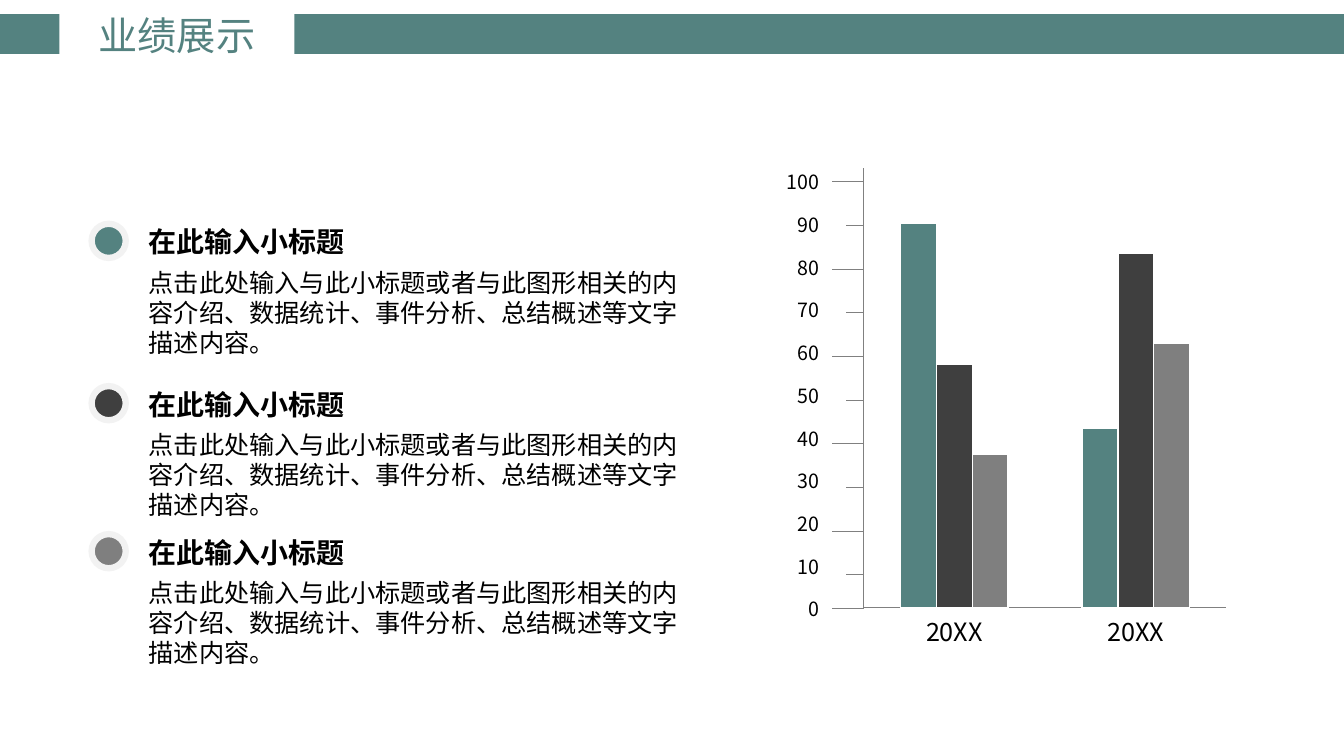
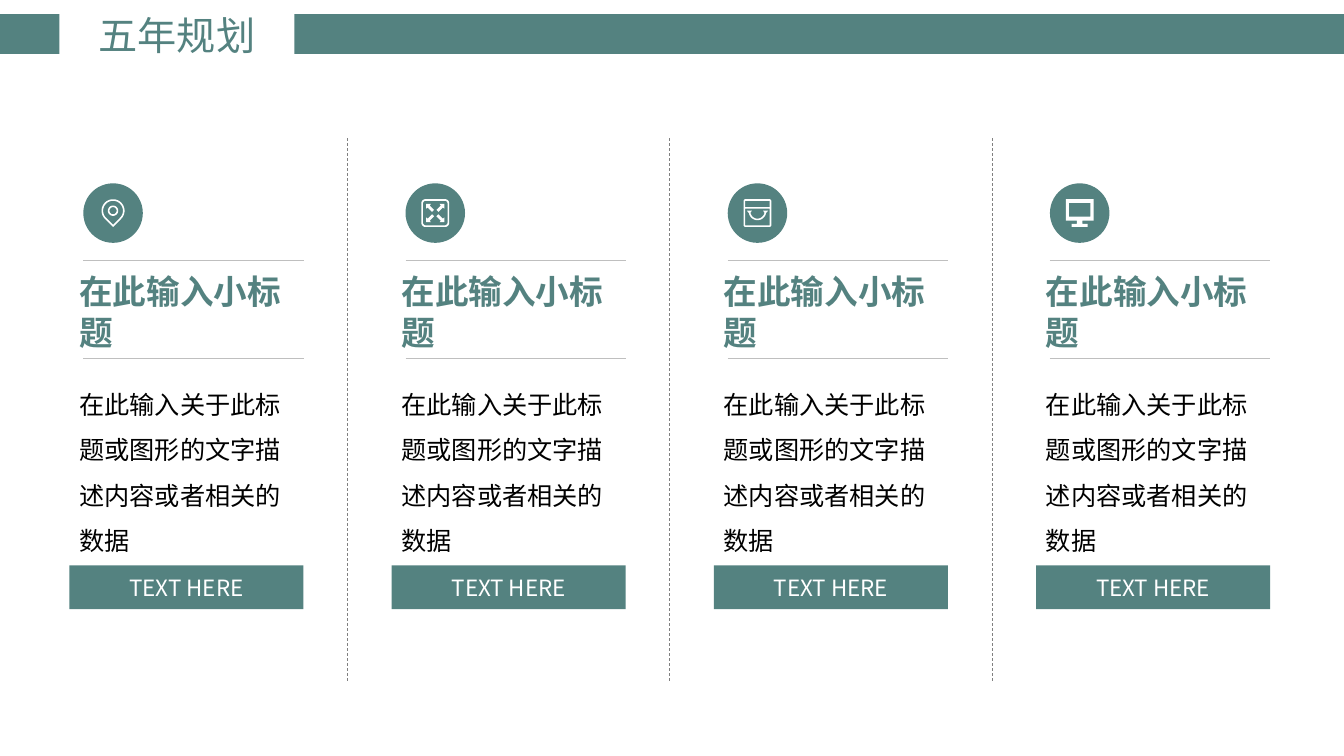
import math
from dataclasses import dataclass
from typing import NamedTuple

import lxml.etree
import pptx
import pptx.chart.data
import pptx.dml.color
import pptx.enum.chart
import pptx.enum.dml
import pptx.enum.shapes
import pptx.enum.text
import pptx.oxml
import pptx.oxml.ns
import pptx.util

Cm = pptx.util.Cm
Pt = pptx.util.Pt
RGBColor = pptx.dml.color.RGBColor
PresetShape = pptx.enum.shapes.MSO_SHAPE
Align = pptx.enum.text.PP_ALIGN
Anchor = pptx.enum.text.MSO_ANCHOR
qn = pptx.oxml.ns.qn

TEAL = RGBColor(0x54, 0x82, 0x80)
CHARCOAL = RGBColor(0x3F, 0x3F, 0x3F)
GRAY = RGBColor(0x7F, 0x7F, 0x7F)
AXIS_GRAY = RGBColor(0x80, 0x80, 0x80)
RULE_GRAY = RGBColor(0xBF, 0xBF, 0xBF)
HALO_GRAY = RGBColor(0xF2, 0xF2, 0xF2)
WHITE = RGBColor(0xFF, 0xFF, 0xFF)
BLACK = RGBColor(0, 0, 0)
FONT = "Noto Sans CJK SC"

SUBTITLE = "在此输入小标题"
POINT_TEXT = "点击此处输入与此小标题或者与此图形相关的内容介绍、数据统计、事件分析、总结概述等文字描述内容。"
PLAN_TEXT = "在此输入关于此标题或图形的文字描述内容或者相关的数据"

Points = list[tuple[float, float]]


class Box(NamedTuple):
    """A frame in centimetres."""
    left: float
    top: float
    width: float
    height: float

    def lengths(self) -> list[pptx.util.Length]:
        return [Cm(value) for value in self]


@dataclass
class Point:
    """A bullet on the results slide and the chart series in its colour."""
    top: float
    color: RGBColor
    values: tuple[int, int]


SLIDE_WIDTH, SLIDE_HEIGHT = 33.87, 19.05
BANDS = [Box(0, 0.36, 1.5, 1), Box(7.42, 0.36, SLIDE_WIDTH - 7.42, 1)]
TITLE = Box(2.21, 0.15, 4.5, 1.45)

POINTS = [
    Point(5.64, TEAL, (90, 42)),
    Point(9.73, CHARCOAL, (57, 83)),
    Point(13.46, GRAY, (36, 62)),
]
CHART = Box(19.3, 4, 12, 13)
PLOT = Box(21.77, 4.24, 9.14, 11.08)
TICK_COUNT, TICK_STEP, FIRST_TICK_TOP = 10, 1.1, 14.48
SHORT_TICK, LONG_TICK = 0.46, 0.8

COLUMN_LEFT, COLUMN_WIDTH, COLUMN_PITCH = 1.75, 5.9, 8.12
BADGE_SIZE = 1.5


def add_text(frame, text: str, *, size: float, color: RGBColor = BLACK,
             bold: bool = False, align=Align.LEFT, before: float = 0,
             spacing: float = 1.0, new_paragraph: bool = False) -> None:
    paragraph = frame.add_paragraph() if new_paragraph else frame.paragraphs[0]
    paragraph.alignment = align
    paragraph.space_before = Pt(before)
    paragraph.line_spacing = spacing
    run = paragraph.add_run()
    run.text = text
    run.font.name, run.font.size, run.font.bold = FONT, Pt(size), bold
    run.font.color.rgb = color
    east_asian = lxml.etree.SubElement(run.font._element, qn("a:ea"))
    east_asian.set("typeface", FONT)


def add_text_frame(slide, box: Box, *, wrap: bool = True, anchor=Anchor.TOP):
    frame = slide.shapes.add_textbox(*box.lengths()).text_frame
    frame.word_wrap = wrap
    frame.auto_size = pptx.enum.text.MSO_AUTO_SIZE.SHAPE_TO_FIT_TEXT
    frame.vertical_anchor = anchor
    return frame


def paint(shape, fill: RGBColor) -> None:
    shape.shadow.inherit = False
    shape.fill.solid()
    shape.fill.fore_color.rgb = fill
    shape.line.fill.background()


def add_filled(slide, preset, box: Box, fill: RGBColor):
    shape = slide.shapes.add_shape(preset, *box.lengths())
    paint(shape, fill)
    return shape


def add_line(slide, start: tuple[float, float], end: tuple[float, float],
             color: RGBColor, dashed: bool = False) -> None:
    line = slide.shapes.add_connector(
        pptx.enum.shapes.MSO_CONNECTOR.STRAIGHT,
        *(Cm(value) for value in (*start, *end)))
    line.line.color.rgb = color
    line.line.width = Pt(0.5)
    if dashed:
        line.line.dash_style = pptx.enum.dml.MSO_LINE.DASH
    lxml.etree.SubElement(line._element.spPr, qn("a:effectLst"))


def add_titled_slide(deck, title: str):
    slide = deck.slides.add_slide(deck.slide_layouts[6])
    for band in BANDS:
        add_filled(slide, PresetShape.RECTANGLE, band, TEAL)
    frame = add_text_frame(slide, TITLE, wrap=False, anchor=Anchor.MIDDLE)
    add_text(frame, title, size=28, color=TEAL, align=Align.CENTER)
    return slide


def arc(x: float, y: float, radius: float, start: int, end: int) -> Points:
    """Points along an arc; degrees run clockwise from the right."""
    steps = max(2, abs(end - start) // 10)
    angles = [math.radians(start + (end - start) * i / steps)
              for i in range(steps + 1)]
    return [(x + radius * math.cos(a), y + radius * math.sin(a)) for a in angles]


def rectangle(half_width: float, top: float, bottom: float) -> Points:
    return [(-half_width, top), (half_width, top),
            (half_width, bottom), (-half_width, bottom)]


def rounded_square(half: float, radius: float) -> Points:
    inset = half - radius
    corners = [(inset, inset), (-inset, inset), (-inset, -inset), (inset, -inset)]
    return [point for i, (x, y) in enumerate(corners)
            for point in arc(x, y, radius, 90 * i, 90 * i + 90)]


def pin_icon() -> list[Points]:
    y = -0.06
    drops = [arc(0, y, r, 135, 405) + [(0, y + r * math.sqrt(2))]
             for r in (0.29, 0.25)]
    return drops + [arc(0, y, r, 0, 360) for r in (0.13, 0.09)]


def expand_icon() -> list[Points]:
    arrow = [(0.08, 0.03), (0.19, 0.14), (0.23, 0.11), (0.23, 0.23),
             (0.11, 0.23), (0.14, 0.19), (0.03, 0.08)]
    arrows = [[(x * across, y * down) for x, y in arrow]
              for across in (-1, 1) for down in (-1, 1)]
    return [rounded_square(0.35, 0.1), rounded_square(0.31, 0.07), *arrows]


def bag_icon() -> list[Points]:
    handle = [(-0.27, -0.06), (-0.14, -0.06), *arc(0, -0.04, 0.18, 170, 10),
              (0.14, -0.06), (0.27, -0.06), *arc(0, -0.04, 0.22, 10, 170)]
    return [rounded_square(0.35, 0.05), rectangle(0.31, -0.31, -0.15),
            rectangle(0.31, -0.11, 0.31), handle]


def monitor_icon() -> list[Points]:
    right = [(0.35, -0.35), (0.35, 0.19), (0.07, 0.19),
             (0.07, 0.27), (0.2, 0.27), (0.2, 0.35)]
    left = [(-x, y) for x, y in reversed(right)]
    return [right + left, rectangle(0.27, -0.26, 0.09)]


def add_icon(slide, x: float, y: float, contours: list[Points]) -> None:
    """Draw contours around a centre; inner contours become holes."""
    placed = [[(Cm(x + dx), Cm(y + dy)) for dx, dy in contour]
              for contour in contours]
    builder = slide.shapes.build_freeform(*placed[0][0])
    for i, contour in enumerate(placed):
        if i:
            builder.move_to(*contour[0])
        builder.add_line_segments(contour[1:], close=True)
    paint(builder.convert_to_shape(), WHITE)


def fix_plot_area(chart) -> None:
    """Pin the inner plot area, which no public method can place."""
    fractions = {
        "x": (PLOT.left - CHART.left) / CHART.width,
        "y": (PLOT.top - CHART.top) / CHART.height,
        "w": PLOT.width / CHART.width,
        "h": PLOT.height / CHART.height,
    }
    settings = {"layoutTarget": "inner", "xMode": "edge", "yMode": "edge",
                **{key: f"{value:.4f}" for key, value in fractions.items()}}
    plot_area = chart._chartSpace.chart.plotArea
    for old in plot_area.findall(qn("c:layout")):
        plot_area.remove(old)
    layout = pptx.oxml.parse_xml(
        f'<c:layout {pptx.oxml.ns.nsdecls("c")}><c:manualLayout/></c:layout>')
    for tag, value in settings.items():
        lxml.etree.SubElement(layout[0], qn(f"c:{tag}")).set("val", value)
    plot_area.insert(0, layout)


def add_results_chart(slide) -> None:
    data = pptx.chart.data.CategoryChartData()
    data.categories = ["20XX", "20XX"]
    for point in POINTS:
        data.add_series(SUBTITLE, point.values)
    chart = slide.shapes.add_chart(
        pptx.enum.chart.XL_CHART_TYPE.COLUMN_CLUSTERED, *CHART.lengths(), data).chart
    chart.has_legend = chart.has_title = False
    chart.font.name, chart.font.size = FONT, Pt(14)
    chart.font.color.rgb = BLACK
    fix_plot_area(chart)

    plot = chart.plots[0]
    plot.vary_by_categories = False
    plot.gap_width, plot.overlap = 207, 0
    for series, point in zip(plot.series, POINTS):
        series.format.fill.solid()
        series.format.fill.fore_color.rgb = point.color
        series.format.line.color.rgb = WHITE
        series.format.line.width = Pt(1)

    for axis in (chart.category_axis, chart.value_axis):
        axis.has_major_gridlines = False
        axis.major_tick_mark = pptx.enum.chart.XL_TICK_MARK.NONE
        axis.format.line.color.rgb = AXIS_GRAY
        axis.format.line.width = Pt(0.5)
    chart.category_axis.tick_labels.font.size = Pt(18)
    scale = chart.value_axis
    scale.minimum_scale, scale.maximum_scale, scale.major_unit = 0, 103, 10
    # Each _W pads the label by the width of a W, which leaves room for the ticks.
    scale.tick_labels.number_format = "0_W_W_W"
    scale.tick_labels.number_format_is_linked = False


def add_scale_ticks(slide) -> None:
    ticks = [(PLOT.top + PLOT.height, LONG_TICK)]
    ticks += [(FIRST_TICK_TOP - i * TICK_STEP, LONG_TICK if i % 2 else SHORT_TICK)
              for i in range(TICK_COUNT)]
    for y, length in ticks:
        add_line(slide, (PLOT.left, y), (PLOT.left - length, y), AXIS_GRAY)


def add_results_slide(deck) -> None:
    slide = add_titled_slide(deck, "业绩展示")
    add_results_chart(slide)
    add_scale_ticks(slide)
    for point in POINTS:
        dot = add_filled(slide, PresetShape.OVAL,
                         Box(2.31, point.top, 0.86, 0.86), point.color)
        dot.line.color.rgb = HALO_GRAY
        dot.line.width = Pt(4.5)
        frame = add_text_frame(slide, Box(3.5, point.top - 0.1, 14.27, 3.63))
        add_text(frame, SUBTITLE, size=20, bold=True, before=6)
        add_text(frame, POINT_TEXT, size=18, before=6, new_paragraph=True)


def add_plan_column(slide, left: float, icon: list[Points]) -> None:
    right, inner_left = left + COLUMN_WIDTH, left + 0.35
    badge = Box(inner_left, 4.62, BADGE_SIZE, BADGE_SIZE)
    add_filled(slide, PresetShape.OVAL, badge, TEAL)
    add_icon(slide, badge.left + BADGE_SIZE / 2, badge.top + BADGE_SIZE / 2, icon)
    for y in (6.55, 9.04):
        add_line(slide, (inner_left, y), (right, y), RULE_GRAY)
    heading = add_text_frame(slide, Box(left, 6.71, 6.3, 2.31))
    add_text(heading, SUBTITLE, size=24, color=TEAL, bold=True, before=6)
    body = add_text_frame(slide, Box(left, 9.3, COLUMN_WIDTH, 4.88))
    add_text(body, PLAN_TEXT, size=18, before=6, spacing=1.5)
    button = add_filled(slide, PresetShape.RECTANGLE,
                        Box(left, 14.25, COLUMN_WIDTH, 1.1), TEAL)
    button.text_frame.vertical_anchor = Anchor.MIDDLE
    add_text(button.text_frame, "TEXT HERE", size=16, color=WHITE, align=Align.CENTER)


def add_plan_slide(deck) -> None:
    slide = add_titled_slide(deck, "五年规划")
    icons = [pin_icon(), expand_icon(), bag_icon(), monitor_icon()]
    for i, icon in enumerate(icons):
        left = COLUMN_LEFT + i * COLUMN_PITCH
        add_plan_column(slide, left, icon)
        if i < len(icons) - 1:
            x = left + 7.01
            add_line(slide, (x, 3.48), (x, 17.15), AXIS_GRAY, dashed=True)


def main() -> None:
    deck = pptx.Presentation()
    deck.slide_width, deck.slide_height = Cm(SLIDE_WIDTH), Cm(SLIDE_HEIGHT)
    add_results_slide(deck)
    add_plan_slide(deck)
    deck.save("out.pptx")


if __name__ == "__main__":
    main()
